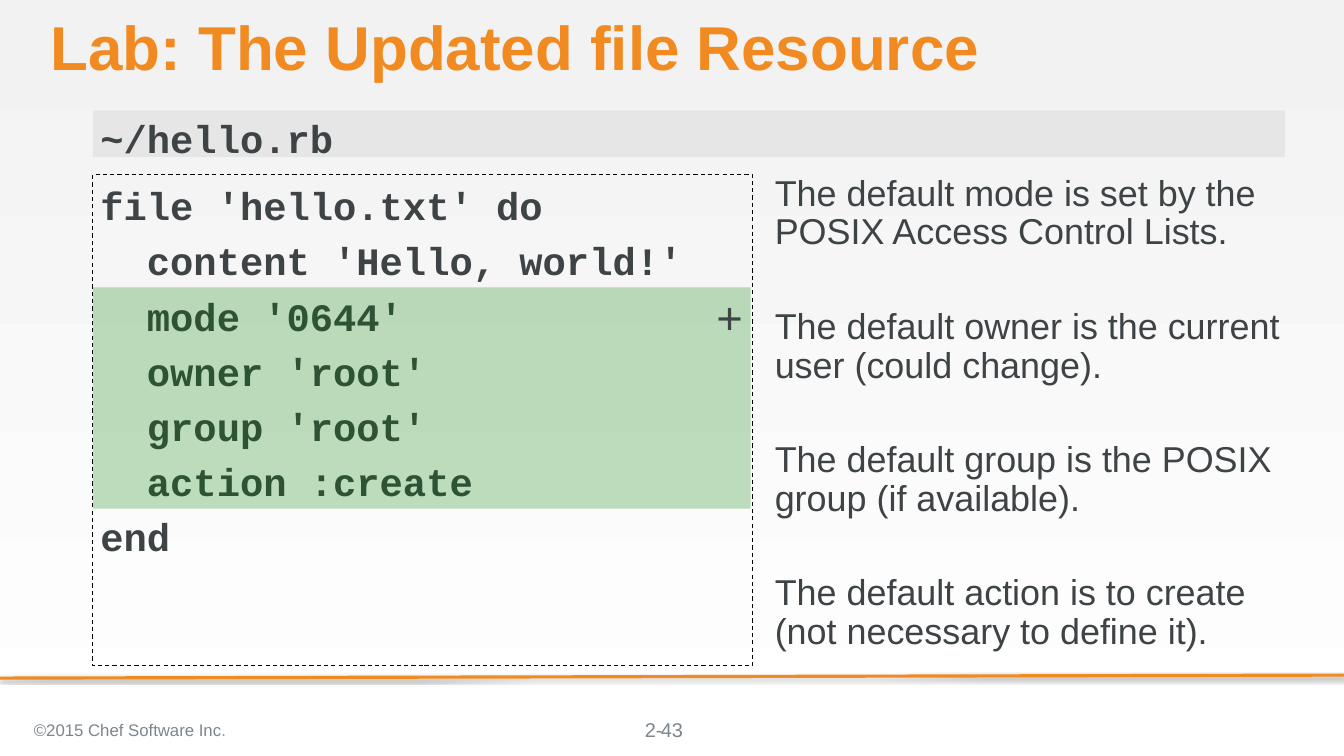
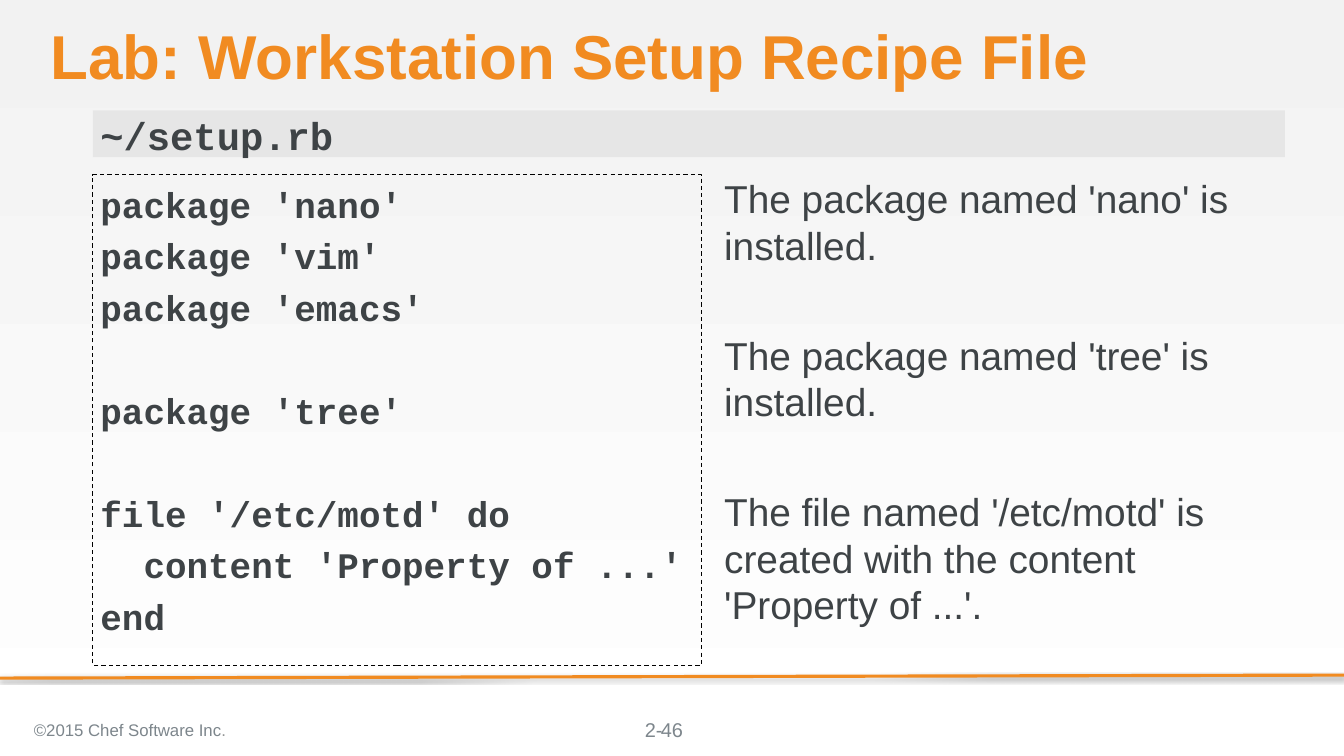
from dataclasses import dataclass

from lxml.etree import SubElement
from pptx import Presentation
from pptx.dml.color import RGBColor as Color
from pptx.enum.dml import MSO_LINE as Dash
from pptx.enum.shapes import MSO_CONNECTOR as Connector, MSO_SHAPE as Shape
from pptx.enum.text import MSO_ANCHOR as Anchor, PP_ALIGN as Align
from pptx.oxml.ns import qn
from pptx.util import Inches, Pt


@dataclass(frozen=True)
class Theme:
    orange: str = "F18B21"
    ink: str = "3E4346"
    footer: str = "7D868C"
    period: str = "929494"
    bar: str = "D9D9D9"
    highlight: str = "008000"
    outline: str = "000000"
    background: tuple = ("F2F2F2", "FFFFFF")
    sans: str = "Arial"
    mono: str = "Courier New"
    title_size: float = 59
    large_size: float = 37
    small_size: float = 34.2
    plus_size: float = 43
    page_size: float = 19
    copyright_size: float = 16
    line_height: float = 1.2
    gap: float = 8


theme = Theme()

labs = [
    {
        "title": "Lab: The Updated file Resource",
        "title_top": 0.21,
        "file": "~/hello.rb",
        "file_inset": 0.1,
        "code": [
            "file 'hello.txt' do",
            "  content 'Hello, world!'",
            "  mode '0644'",
            "  owner 'root'",
            "  group 'root'",
            "  action :create",
            "end",
        ],
        "code_size": theme.large_size,
        "code_box": (1.23, 2.31, 8.73, 6.5),
        "notes": [
            "The default mode is set by the POSIX Access Control Lists.",
            "The default owner is the current user (could change).",
            "The default group is the POSIX group (if available).",
            "The default action is to create (not necessary to define it).",
        ],
        "notes_size": theme.small_size,
        "notes_spacing": 0.9,
        "notes_box": (10.25, 2.31, 6.75, 6.5),
        "added_lines": (1.23, 3.8, 8.7, 2.93),
        "page": "43",
    },
    {
        "title": "Lab: Workstation Setup Recipe File",
        "title_top": 0.33,
        "file": "~/setup.rb",
        "file_inset": 0.04,
        "code": [
            "package 'nano'",
            "package 'vim'",
            "package 'emacs'",
            "",
            "package 'tree'",
            "",
            "file '/etc/motd' do",
            "  content 'Property of ...'",
            "end",
        ],
        "code_size": theme.small_size,
        "code_box": (1.23, 2.31, 8.05, 6.49),
        "notes": [
            "The package named 'nano' is installed.",
            "The package named 'tree' is installed.",
            "The file named '/etc/motd' is created with the content 'Property of ...'.",
        ],
        "notes_size": theme.large_size,
        "notes_spacing": 1,
        "notes_box": (9.58, 2.31, 7.42, 6.88),
        "added_lines": None,
        "page": "46",
    },
]


def write(shape, lines, font, size, color, insets=(0, 0, 0, 0), bold=False,
          align=Align.LEFT, anchor=Anchor.TOP, spacing=1.0):
    frame = shape.text_frame
    frame.word_wrap = True
    frame.vertical_anchor = anchor
    frame.margin_left, frame.margin_top, frame.margin_right, frame.margin_bottom = map(Inches, insets)
    line_height = size * theme.line_height * spacing
    space_before = 0
    paragraph = frame.paragraphs[0]
    for line in lines:
        if not line:
            space_before += line_height + theme.gap
            continue
        if paragraph.text:
            paragraph = frame.add_paragraph()
        paragraph.text = line
        paragraph.alignment = align
        paragraph.line_spacing = Pt(line_height)
        paragraph.space_before = Pt(space_before)
        paragraph.space_after = Pt(0)
        paragraph.font.name = font
        paragraph.font.size = Pt(size)
        paragraph.font.bold = bold
        paragraph.font.color.rgb = Color.from_string(color)
        space_before = theme.gap


def add_box(slide, box, fill=None, opacity=100):
    shape = slide.shapes.add_shape(Shape.RECTANGLE, *map(Inches, box))
    shape.shadow.inherit = False
    shape.line.fill.background()
    if fill:
        shape.fill.solid()
        shape.fill.fore_color.rgb = Color.from_string(fill)
        color = shape._element.spPr.find(qn("a:solidFill"))[0]
        SubElement(color, qn("a:alpha"), val=str(opacity * 1000))
    else:
        shape.fill.background()
    return shape


presentation = Presentation()
presentation.slide_width = Inches(17.78)
presentation.slide_height = Inches(10)

background = presentation.slide_master.background.fill
background.gradient()
background.gradient_angle = 270
for stop, position, color in zip(background.gradient_stops, (0, 1), theme.background):
    stop.position = position
    stop.color.rgb = Color.from_string(color)

for lab in labs:
    slide = presentation.slides.add_slide(presentation.slide_layouts[5])

    rule = slide.shapes.add_connector(
        Connector.STRAIGHT, Inches(17.78), Inches(8.93), Inches(0), Inches(8.97))
    rule.line.color.rgb = Color.from_string(theme.orange)
    rule.line.width = Pt(3)
    effects = SubElement(rule._element.spPr, qn("a:effectLst"))
    shadow = SubElement(effects, qn("a:outerShdw"), blurRad=str(Pt(3.1)),
                        dist=str(Pt(1.8)), dir="5400000", rotWithShape="0")
    shadow_color = SubElement(shadow, qn("a:srgbClr"), val=theme.outline)
    SubElement(shadow_color, qn("a:alpha"), val="35000")

    title = slide.shapes.title
    title.left, title.top, title.width, title.height = map(
        Inches, (0.67, lab["title_top"], 16.33, 0.91))
    write(title, [lab["title"]], theme.sans, theme.title_size, theme.orange,
          bold=True, spacing=0.9)

    code = add_box(slide, lab["code_box"])
    code.line.color.rgb = Color.from_string(theme.outline)
    code.line.width = Pt(1)
    code.line.dash_style = Dash.DASH
    write(code, lab["code"], theme.mono, lab["code_size"], theme.ink,
          insets=(0.1, 0.1, 0.1, 0.05), bold=True)

    file_bar = add_box(slide, (1.23, 1.46, 15.77, 0.62), theme.bar, 50)
    write(file_bar, [lab["file"]], theme.mono, theme.large_size, theme.ink,
          insets=(0.1, lab["file_inset"], 0, 0), bold=True, anchor=Anchor.MIDDLE)

    notes = slide.shapes.add_textbox(*map(Inches, lab["notes_box"]))
    spaced_notes = [line for note in lab["notes"] for line in (note, "")]
    write(notes, spaced_notes, theme.sans, lab["notes_size"], theme.ink,
          spacing=lab["notes_spacing"])

    if lab["added_lines"]:
        added = add_box(slide, lab["added_lines"], theme.highlight, 25)
        write(added, ["+"], theme.mono, theme.plus_size, theme.ink,
              insets=(0, 0.03, 0.1, 0.65), align=Align.RIGHT)

    copyright_line = slide.shapes.add_textbox(*map(Inches, (0.35, 9.38, 6.21, 0.56)))
    write(copyright_line, ["©2015 Chef Software Inc"], theme.sans, theme.copyright_size,
          theme.footer, insets=(0.1, 0.05, 0.1, 0.05), anchor=Anchor.MIDDLE)
    period = copyright_line.text_frame.paragraphs[0].add_run()
    period.text = "."
    period.font.color.rgb = Color.from_string(theme.period)

    module_number = slide.shapes.add_textbox(*map(Inches, (8.49, 9.49, 0.8, 0.32)))
    write(module_number, ["2-"], theme.sans, theme.page_size, theme.footer,
          insets=(0.04, 0, 0, 0))

    page_number = slide.shapes.add_textbox(*map(Inches, (6.89, 9.38, 4, 0.53)))
    write(page_number, [lab["page"]], theme.sans, theme.page_size, theme.footer,
          insets=(0.1, 0.05, 0.1, 0.05), align=Align.CENTER, anchor=Anchor.MIDDLE)

presentation.save("out.pptx")
